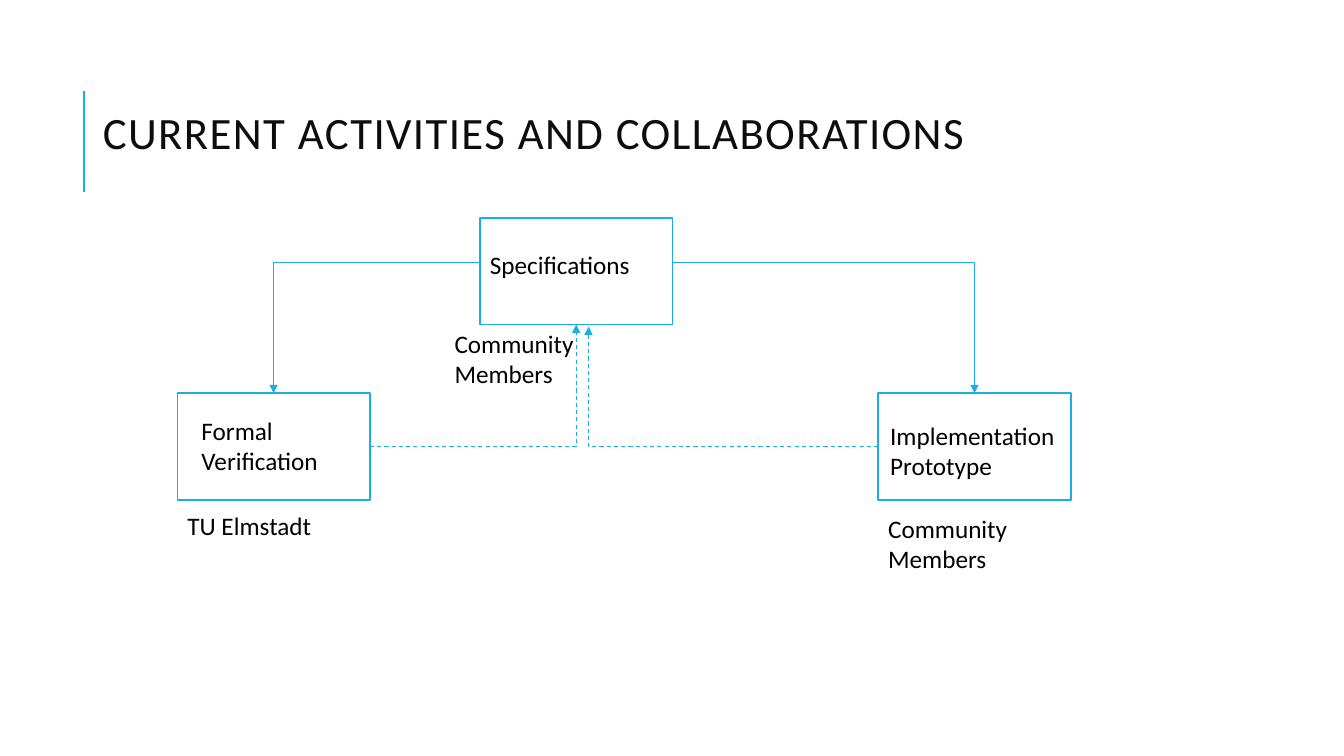
from dataclasses import dataclass
from typing import Optional

from pptx import Presentation, util as u
from pptx.dml.color import RGBColor
from pptx.enum import dml, shapes, text
from pptx.oxml.ns import qn
from lxml import etree

PX = 9144  # 100 px to the inch


@dataclass(frozen=True)
class Theme:
    accent: str = "1CADE4"
    paper: str = "FFFFFF"
    title_ink: str = "0D0D0D"
    ink: str = "000000"
    font: str = "Calibri"
    title_size: int = 32
    body_size: int = 18


@dataclass(frozen=True)
class Label:
    text: str
    x: int
    y: int
    w: int
    h: int


@dataclass(frozen=True)
class Link:
    source: object
    site: int
    end: tuple[int, int]
    target: Optional[object] = None
    target_site: int = 0
    dashed: bool = False


T = Theme()
BOX_W, BOX_H = 191, 106
SPEC_X, FORMAL_X, PROTO_X = 476, 176, 871
TOP_Y, LOW_Y = 216, 390
TOP, LEFT, BOTTOM, RIGHT = range(4)  # connection sites of a rectangle

LABELS = [
    Label("Specifications", SPEC_X, 242, BOX_W, 37),
    Label("Implementation\nPrototype", 873, 412, BOX_W, 71),
    Label("Formal\nVerification", 190, 407, 144, 71),
]
CAPTIONS = [
    Label("TU Elmstadt", FORMAL_X, 501, BOX_W, 40),
    Label("Community Members", PROTO_X, 504, 235, 40),
    Label("Community Members", 441, 321, BOX_W, 71),
]


def px(n: float) -> u.Emu:
    return u.Emu(round(n * PX))


def rgb(value: str) -> RGBColor:
    return RGBColor.from_string(value)


def write(tf, content: str, *, size: int = T.body_size, color: str = T.ink,
          leading: Optional[float] = None, spacing: int = 0) -> None:
    tf.word_wrap = True
    for i, line in enumerate(content.split("\n")):
        p = tf.paragraphs[0] if i == 0 else tf.add_paragraph()
        p.alignment = text.PP_ALIGN.LEFT
        if leading:
            p.line_spacing = leading
        r = p.add_run()
        r.text = line
        r.font.name, r.font.size = T.font, u.Pt(size)
        r.font.color.rgb = rgb(color)
        if spacing:
            r.font._element.set("spc", str(spacing * 100))


def add_box(slide, x: int, y: int):
    sp = slide.shapes.add_shape(shapes.MSO_SHAPE.RECTANGLE,
                                px(x), px(y), px(BOX_W), px(BOX_H))
    sp.shadow.inherit = False
    sp.fill.solid()
    sp.fill.fore_color.rgb = rgb(T.paper)
    sp.line.color.rgb = rgb(T.accent)
    sp.line.width = u.Pt(1.25)
    return sp


def add_label(slide, label: Label):
    sp = slide.shapes.add_textbox(px(label.x), px(label.y), px(label.w), px(label.h))
    write(sp.text_frame, label.text)
    sp.text_frame.auto_size = text.MSO_AUTO_SIZE.SHAPE_TO_FIT_TEXT
    return sp


def add_line(slide, kind, start: tuple[int, int], end: tuple[int, int], width: float):
    c = slide.shapes.add_connector(kind, *map(px, start + end))
    c.line.color.rgb = rgb(T.accent)
    c.line.width = u.Pt(width)
    etree.SubElement(c._element.spPr, qn("a:effectLst"))
    return c


def add_link(slide, link: Link) -> None:
    c = add_line(slide, shapes.MSO_CONNECTOR.ELBOW, (0, 0), link.end, 0.75)
    c.begin_connect(link.source, link.site)
    geom = c._element.spPr.find(qn("a:prstGeom"))
    if link.target is not None:
        c.end_connect(link.target, link.target_site)
        geom.set("prst", "bentConnector2")
    else:  # free end: bend right above it
        c.end_x, c.end_y = map(px, link.end)
        guides = geom.find(qn("a:avLst"))
        if guides is None:
            guides = etree.SubElement(geom, qn("a:avLst"))
        etree.SubElement(guides, qn("a:gd"), name="adj1", fmla="val 100100")
    if link.dashed:
        c.line.dash_style = dml.MSO_LINE.DASH
    etree.SubElement(c.line._get_or_add_ln(), qn("a:tailEnd"), type="triangle")


def main() -> None:
    prs = Presentation()
    prs.slide_width, prs.slide_height = px(1333), px(750)
    slide = prs.slides.add_slide(prs.slide_layouts[5])

    # Title with its accent rule
    title = slide.shapes.title
    title.left, title.top, title.width, title.height = map(px, (92, 105, 1150, 62))
    title.text_frame.vertical_anchor = text.MSO_ANCHOR.MIDDLE
    write(title.text_frame, "CURRENT ACTIVITIES AND COLLABORATIONS",
          size=T.title_size, color=T.title_ink, leading=0.8, spacing=1)
    add_line(slide, shapes.MSO_CONNECTOR.STRAIGHT, (83, 190), (83, 90), 1.5)

    # Boxes and their labels
    spec_box, formal, proto = (add_box(slide, x, y) for x, y in (
        (SPEC_X, TOP_Y), (FORMAL_X, LOW_Y), (PROTO_X, LOW_Y)))
    spec_label, *_ = [add_label(slide, label) for label in LABELS]

    # Solid links lead down, dashed ones lead back up
    for link in (
        Link(spec_label, LEFT, (272, LOW_Y), formal, TOP),
        Link(spec_label, RIGHT, (966, LOW_Y), proto, TOP),
        Link(formal, RIGHT, (571, 322), spec_box, BOTTOM, dashed=True),
        Link(proto, LEFT, (584, 324), dashed=True),
    ):
        add_link(slide, link)

    # Captions
    for caption in CAPTIONS:
        add_label(slide, caption)

    prs.save("out.pptx")


if __name__ == "__main__":
    main()
